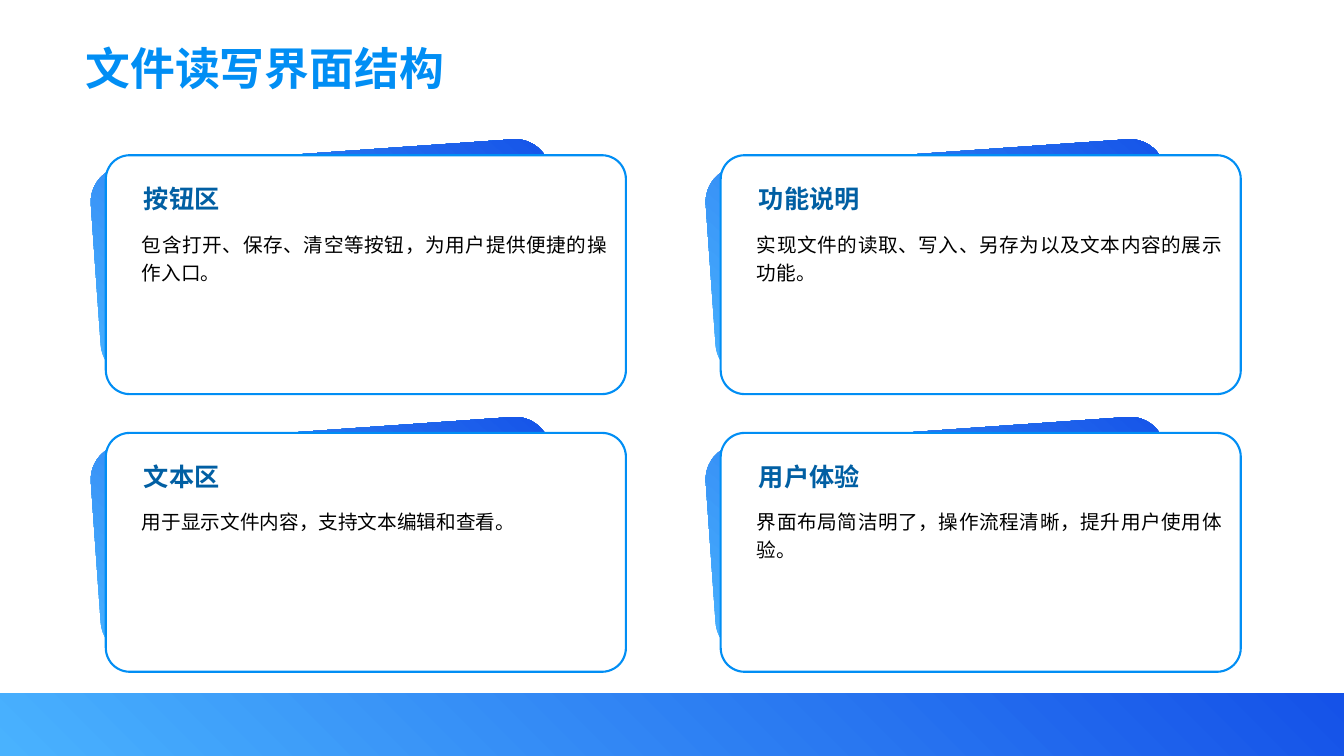
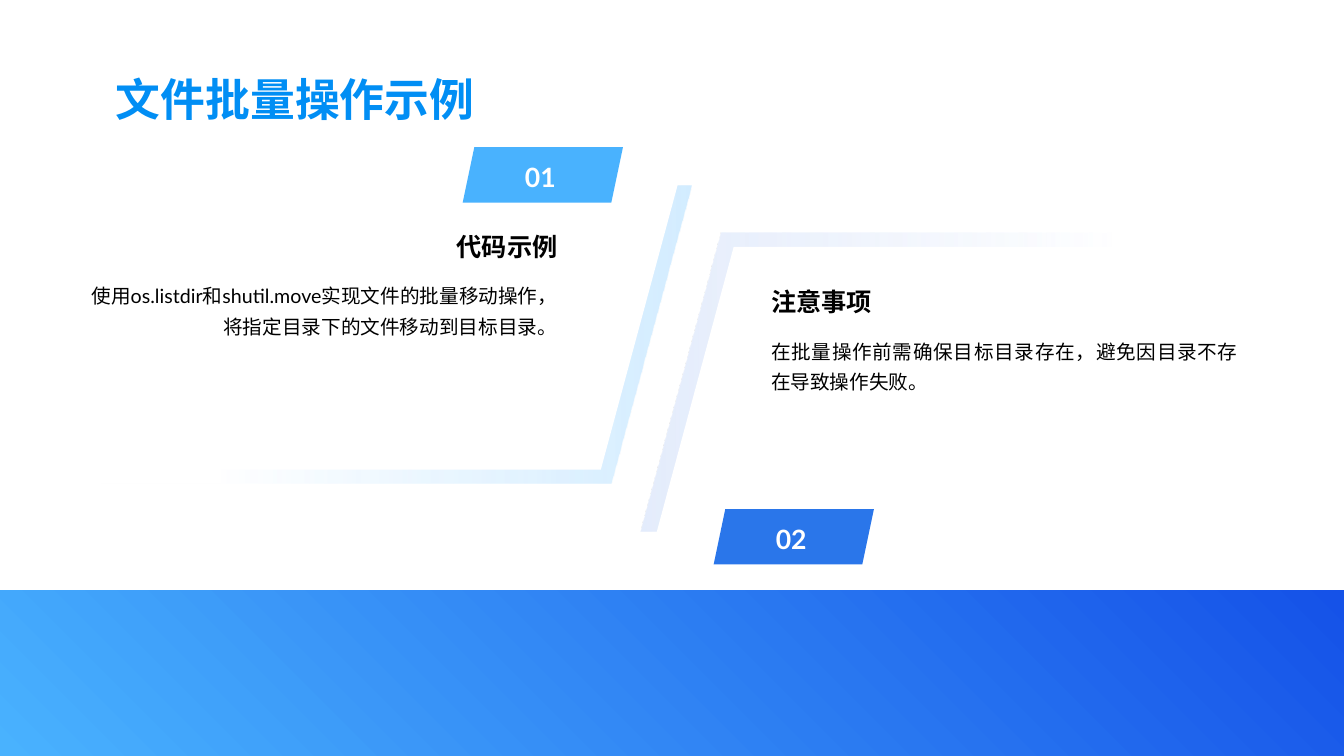
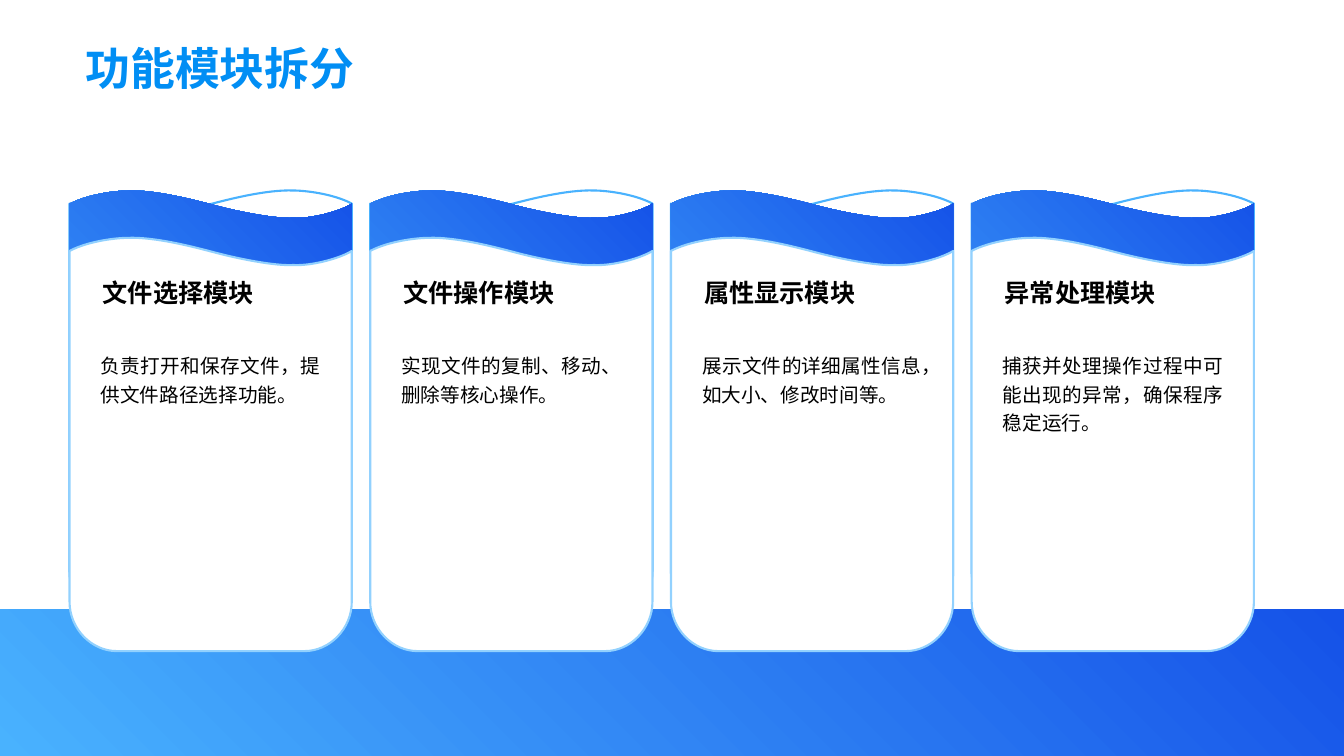
from lxml import etree
from pptx import Presentation
from pptx import util as u
from pptx.dml.color import RGBColor
from pptx.enum import lang, shapes, text
from pptx.oxml.ns import qn

PX = u.Inches(1) // 100
WHITE = RGBColor(0xFF, 0xFF, 0xFF)
BLACK = RGBColor(0, 0, 0)
TITLE_BLUE = RGBColor(0x01, 0x8E, 0xF4)
HEADING_BLUE = RGBColor(0x01, 0x5F, 0xA3)
SKY = RGBColor(0x49, 0xB2, 0xFE)
ROYAL = RGBColor(0x15, 0x52, 0xE8)
AZURE = RGBColor(0x2A, 0x76, 0xEA)
PALE_SKY = RGBColor(0x92, 0xD1, 0xFE)
PALE_INDIGO = RGBColor(0xBC, 0xD0, 0xF7)

ROUND = shapes.MSO_SHAPE.ROUNDED_RECTANGLE
SLANTED = shapes.MSO_SHAPE.PARALLELOGRAM
LEFT, RIGHT = text.PP_ALIGN.LEFT, text.PP_ALIGN.RIGHT
CENTER, JUSTIFY = text.PP_ALIGN.CENTER, text.PP_ALIGN.JUSTIFY

TITLE = dict(size=u.Pt(32), bold=True)
HEADING = dict(size=u.Pt(18), bold=True)
BODY = dict(size=u.Pt(14), bold=False)
NUMBER = dict(size=u.Pt(19), bold=True)
INSET = (10, 5, 10, 5)
FLUSH = (0, 0, 0, 0)

INTERFACE = [
    ("按钮区", "包含打开、保存、清空等按钮，为用户提供便捷的操作入口。"),
    ("功能说明", "实现文件的读取、写入、另存为以及文本内容的展示功能。"),
    ("文本区", "用于显示文件内容，支持文本编辑和查看。"),
    ("用户体验", "界面布局简洁明了，操作流程清晰，提升用户使用体验。"),
]
BATCH = [
    dict(number="02", badge=(708, 505), badge_color=AZURE, heading="注意事项",
         body="在批量操作前需确保目标目录存在，避免因目录不存在导致操作失败。",
         heading_at=(765, 284), body_at=(765, 330), aligns=(LEFT, JUSTIFY),
         frame=(636, 231), cover=(648, 245), tint=PALE_INDIGO, fade_angle=180),
    dict(number="01", badge=(459, 146), badge_color=SKY, heading="代码示例",
         body="使用os.listdir和shutil.move实现文件的批量移动操作，将指定目录下的文件移动到目标目录。",
         heading_at=(137, 229), body_at=(90, 275), aligns=(RIGHT, RIGHT),
         frame=(100, 184), cover=(90, 170), tint=PALE_SKY, fade_angle=0),
]
MODULES = [
    ("文件选择模块", "负责打开和保存文件，提供文件路径选择功能。"),
    ("文件操作模块", "实现文件的复制、移动、删除等核心操作。"),
    ("属性显示模块", "展示文件的详细属性信息，如大小、修改时间等。"),
    ("异常处理模块", "捕获并处理操作过程中可能出现的异常，确保程序稳定运行。"),
]
CARD_WIDTH = 280
WAVE_START = (0, 13)
WAVE = [
    [(19, 3), (47, 0), (58, 0)],
    [(85, -1), (123, 9), (142, 14)],
    [(168, 21), (204, 28), (222, 27)],
    [(241, 28), (269, 20), (280, 13)],
]


def emu(*lengths):
    return [round(length * PX) for length in lengths]


def gradient(shape, start, end, angle=45):
    shape.fill.gradient()
    shape.fill.gradient_angle = angle
    for stop, color in zip(shape.fill.gradient_stops, (start, end)):
        stop.color.rgb = color


def fade(shape, tint, angle):
    gradient(shape, tint, tint, angle)
    shape.fill.gradient_stops[0].position = 0.2
    stops = shape._element.spPr.iter(qn("a:srgbClr"))
    for stop, alpha in zip(stops, (0, 40000)):
        etree.SubElement(stop, qn("a:alpha"), val=str(alpha))


def paint(shape, fill=None, line=None):
    shape.shadow.inherit = False
    if fill is None:
        shape.fill.background()
    else:
        shape.fill.solid()
        shape.fill.fore_color.rgb = fill
    if line is None:
        shape.line.fill.background()
    else:
        shape.line.color.rgb = line
        shape.line.width = u.Pt(1.5)
    return shape


def add_preset(slide, kind, box, fill=None, line=None, adjust=None):
    shape = paint(slide.shapes.add_shape(kind, *emu(*box)), fill, line)
    if adjust is not None:
        shape.adjustments[0] = adjust
    return shape


def write(shape, words, style, color, align, spacing=1.0, insets=INSET):
    frame = shape.text_frame
    frame.word_wrap = True
    for side, inset in zip(("left", "top", "right", "bottom"), insets):
        setattr(frame, f"margin_{side}", inset * PX)
    paragraph = frame.paragraphs[0]
    paragraph.alignment = align
    paragraph.line_spacing = spacing
    run = paragraph.add_run()
    run.text = words
    run.font.color.rgb = color
    chinese = lang.MSO_LANGUAGE_ID.SIMPLIFIED_CHINESE
    for name, value in dict(style, name="Lato", language_id=chinese).items():
        setattr(run.font, name, value)
    etree.SubElement(run.font._element, qn("a:ea"), typeface="Lato")


def add_text(slide, box, *args, **options):
    label = slide.shapes.add_textbox(*emu(*box))
    write(label, *args, **options)
    label.text_frame.auto_size = text.MSO_AUTO_SIZE.SHAPE_TO_FIT_TEXT


def start_slide(deck, title, title_at, band_top):
    slide = deck.slides.add_slide(deck.slide_layouts[6])
    add_text(slide, (*title_at, 1072, 54), title, TITLE, TITLE_BLUE, LEFT)
    band = add_preset(slide, shapes.MSO_SHAPE.RECTANGLE,
                      (0, band_top, 1333.33, 750 - band_top))
    gradient(band, SKY, ROYAL)
    return slide


def bend_segments(outline, segments):
    straight = list(outline._element.spPr.iter(qn("a:lnTo")))
    for side, segment in zip(straight, segments):
        if len(segment) == 3:
            bend = etree.Element(qn("a:cubicBezTo"))
            for point in segment:
                x, y = emu(*point)
                etree.SubElement(bend, qn("a:pt"), x=str(x), y=str(y))
            side.getparent().replace(side, bend)


def add_wave_card(slide, left, top, height, mirrored=False, **colors):
    right, shoulder = CARD_WIDTH, height - 49
    segments = [
        *WAVE,
        [(right, shoulder)],
        [(right, height - 22), (right - 22, height), (right - 47, height)],
        [(47, height)],
        [(22, height), (0, height - 22), (0, shoulder)],
    ]
    start = WAVE_START
    if mirrored:
        start = (right - start[0], start[1])
        segments = [[(right - x, y) for x, y in segment] for segment in segments]
    anchors = [emu(left + x, top + y)
               for x, y in [start] + [segment[-1] for segment in segments]]
    builder = slide.shapes.build_freeform(*anchors[0])
    builder.add_line_segments(anchors[1:], close=True)
    card = builder.convert_to_shape()
    bend_segments(card, segments)
    return paint(card, **colors)


def build_interface(deck):
    slide = start_slide(deck, "文件读写界面结构", (75, 36), 688)
    for index, (heading, body) in enumerate(INTERFACE):
        row, column = divmod(index, 2)
        left, top = 105 + 610 * column, 154 + 275.5 * row
        accent = add_preset(slide, ROUND, (left - 10.5, top - 2.5, 457, 210))
        accent.rotation = 356
        gradient(accent, SKY, ROYAL)
        add_preset(slide, ROUND, (left, top, 516, 237), WHITE, TITLE_BLUE, 0.1)
        add_text(slide, (left + 28, top + 23, 472, 30), heading, HEADING, HEADING_BLUE, JUSTIFY)
        add_text(slide, (left + 26, top + 67, 481, 62), body, BODY, BLACK, JUSTIFY, 1.2)


def build_batch(deck):
    slide = start_slide(deck, "文件批量操作示例", (105, 66), 586)
    for part in BATCH:
        frame = add_preset(slide, SLANTED, (*part["frame"], 586, 296), adjust=0.27)
        fade(frame, part["tint"], part["fade_angle"])
        add_preset(slide, SLANTED, (*part["cover"], 586, 296), WHITE, adjust=0.27)
    for part in BATCH:
        badge = add_preset(slide, SLANTED, (*part["badge"], 159, 55),
                           part["badge_color"], adjust=0.21)
        badge.text_frame.vertical_anchor = text.MSO_ANCHOR.MIDDLE
        write(badge, part["number"], NUMBER, WHITE, CENTER, insets=(0, 5, 5, 0))
        heading_align, body_align = part["aligns"]
        add_text(slide, (*part["heading_at"], 416, 40), part["heading"],
                 HEADING, BLACK, heading_align, insets=FLUSH)
        add_text(slide, (*part["body_at"], 463, 62), part["body"],
                 BODY, BLACK, body_align, 1.3, FLUSH)


def build_modules(deck):
    slide = start_slide(deck, "功能模块拆分", (75, 36), 605)
    for index, (heading, body) in enumerate(MODULES):
        left = 69 + 895 * index / 3
        add_wave_card(slide, left, 189, 427, mirrored=True, line=SKY)
        gradient(add_wave_card(slide, left, 189, 427), SKY, ROYAL)
        add_wave_card(slide, left, 236, 410, fill=WHITE, line=PALE_SKY)
        add_text(slide, (left + 23, 270, 234, 30), heading, HEADING, BLACK, JUSTIFY)
        add_text(slide, (left + 21, 342, 238, 62), body, BODY, BLACK, JUSTIFY, 1.2)


def main():
    deck = Presentation()
    deck.slide_width, deck.slide_height = emu(1333.33, 750)
    for build in (build_interface, build_batch, build_modules):
        build(deck)
    deck.save("out.pptx")


if __name__ == "__main__":
    main()
